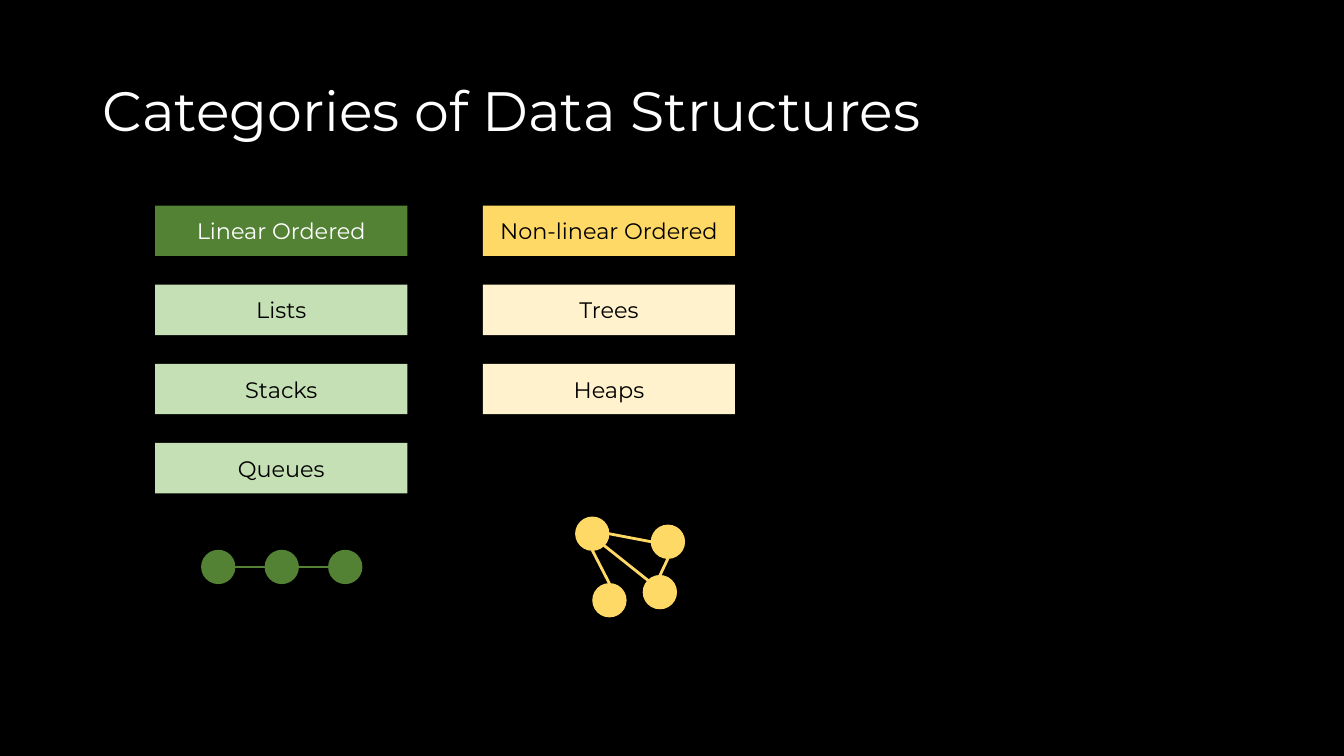
"""Build the slide on categories of data structures."""
from lxml import etree
from pptx import Presentation
from pptx.dml.color import RGBColor
from pptx.enum.shapes import MSO_CONNECTOR, MSO_SHAPE
from pptx.enum.text import MSO_ANCHOR, PP_ALIGN
from pptx.oxml.ns import qn
from pptx.util import Inches, Pt

RECTANGLE, OVAL = MSO_SHAPE.RECTANGLE, MSO_SHAPE.OVAL
STRAIGHT = MSO_CONNECTOR.STRAIGHT
MIDDLE = MSO_ANCHOR.MIDDLE
LEFT, CENTER = PP_ALIGN.LEFT, PP_ALIGN.CENTER

FONT = "Montserrat"
BLACK, WHITE = "000000", "FFFFFF"
GREEN, PALE_GREEN = "548235", "C5E0B4"
GOLD, PALE_GOLD = "FFD966", "FFF2CC"

TITLE = "Categories of Data Structures"
CATEGORIES = [
    ("Linear Ordered", WHITE, GREEN, PALE_GREEN, ["Lists", "Stacks", "Queues"]),
    ("Non-linear Ordered", BLACK, GOLD, PALE_GOLD, ["Trees", "Heaps"]),
]
GRAPHS = [
    (GREEN, [(2 + 0.63 * step, 5.46) for step in range(3)],
     [(0, "right", 1, "left"), (1, "right", 2, "left")]),
    (GOLD, [(5.71, 5.13), (6.46, 5.21), (5.88, 5.79), (6.38, 5.71)],
     [(0, "right", 1, "left"), (1, "bottom", 3, "top"),
      (0, "bottom right", 3, "top left"), (0, "bottom", 2, "top")]),
]
SITES = {
    "top": (0.5, 0), "bottom": (0.5, 1), "left": (0, 0.5), "right": (1, 0.5),
    "top left": (0.15, 0.15), "bottom right": (0.85, 0.85),
}
GRID_LEFT, GRID_TOP = 1.54, 2.04
COLUMN_STEP, ROW_STEP = 3.25, 0.785
BOX_WIDTH, BOX_HEIGHT = 2.5, 0.5
NODE_SIZE = 0.33


def color(value):
    return RGBColor.from_string(value)


def write(shape, text, size, ink, align):
    frame = shape.text_frame
    frame.word_wrap = True
    frame.vertical_anchor = MIDDLE
    frame.text = text
    para = frame.paragraphs[0]
    para.alignment = align
    font = para.runs[0].font
    font.name, font.size = FONT, Pt(size)
    font.color.rgb = color(ink)
    return para


def add_filled(shapes, kind, left, top, width, height, fill):
    shape = shapes.add_shape(kind, Inches(left), Inches(top), Inches(width), Inches(height))
    shape.shadow.inherit = False
    shape.fill.solid()
    shape.fill.fore_color.rgb = color(fill)
    shape.line.fill.background()
    return shape


def add_category(page, column, category):
    heading, heading_ink, fill, pale_fill, items = category
    left = GRID_LEFT + column * COLUMN_STEP
    for row, text in enumerate([heading] + items):
        box = add_filled(page.shapes, RECTANGLE, left, GRID_TOP + row * ROW_STEP,
                         BOX_WIDTH, BOX_HEIGHT, pale_fill if row else fill)
        write(box, text, 16, BLACK if row else heading_ink, CENTER)


def site_point(node, site):
    return [Inches(start + share * NODE_SIZE) for start, share in zip(node, SITES[site])]


def add_graph(page, ink, nodes, edges):
    shapes = page.shapes.add_group_shape().shapes
    for left, top in nodes:
        node = add_filled(shapes, OVAL, left, top, NODE_SIZE, NODE_SIZE, ink)
        node.line.color.rgb = color(ink)
        node.line.width = Pt(0.75)
    for start, start_site, end, end_site in edges:
        edge = shapes.add_connector(STRAIGHT, *site_point(nodes[start], start_site),
                                    *site_point(nodes[end], end_site))
        edge.line.color.rgb = color(ink)
        edge.line.width = Pt(2)
        etree.SubElement(edge._element.spPr, qn("a:effectLst"))


def main():
    deck = Presentation()
    deck.slide_width, deck.slide_height = Inches(13.33), Inches(7.5)
    page = deck.slides.add_slide(deck.slide_layouts[6])
    page.background.fill.solid()
    page.background.fill.fore_color.rgb = color(BLACK)

    title = page.shapes.add_textbox(Inches(0.92), Inches(0.4), Inches(11.5), Inches(1.45))
    write(title, TITLE, 39.6, WHITE, LEFT).line_spacing = 0.9
    for column, category in enumerate(CATEGORIES):
        add_category(page, column, category)
    for graph in GRAPHS:
        add_graph(page, *graph)
    deck.save("out.pptx")


if __name__ == "__main__":
    main()
